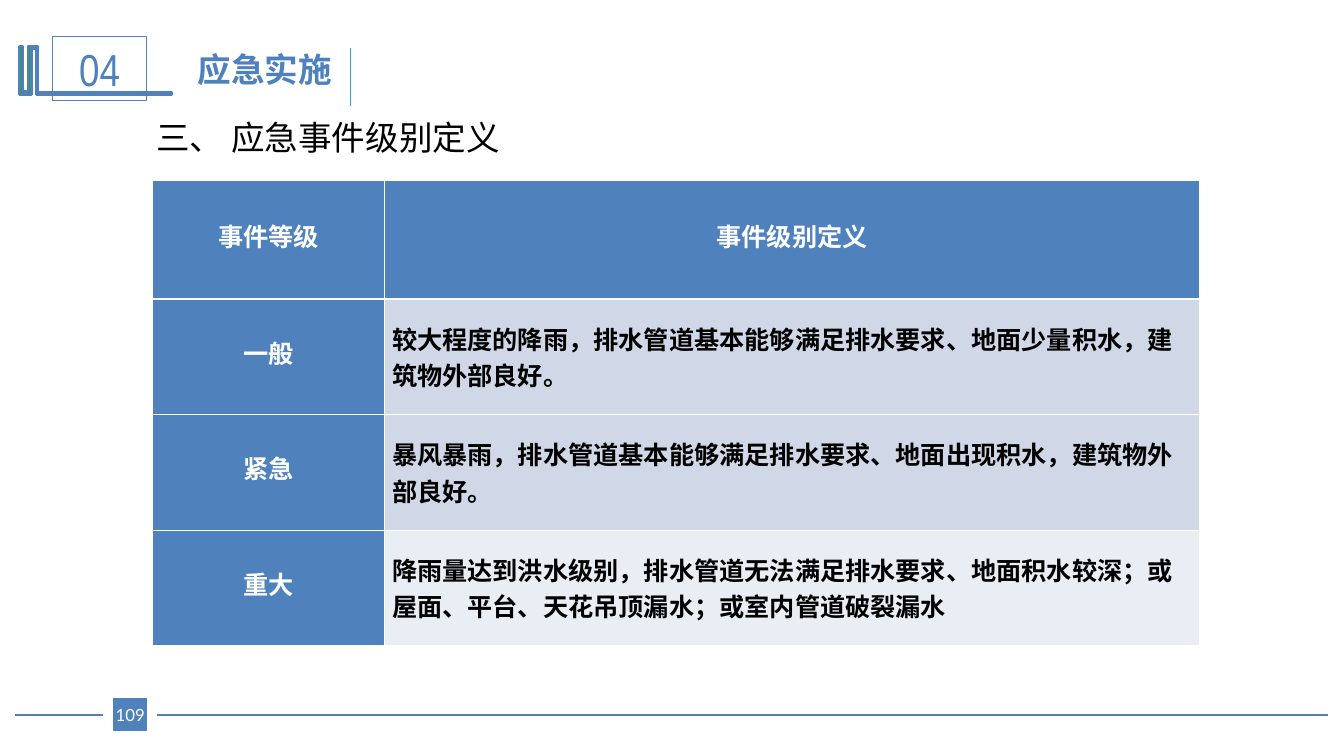
import dataclasses
import typing

import lxml.etree
import pptx
import pptx.dml.color
import pptx.enum.shapes
import pptx.enum.text
import pptx.oxml.ns
import pptx.util

Pt = pptx.util.Pt
RGBColor = pptx.dml.color.RGBColor
MSO_ANCHOR = pptx.enum.text.MSO_ANCHOR
PP_ALIGN = pptx.enum.text.PP_ALIGN
qn = pptx.oxml.ns.qn

BLUE = RGBColor(0x4F, 0x81, 0xBD)
CYAN = RGBColor(0x28, 0xA9, 0xD6)
GREEN = RGBColor(0x33, 0x99, 0x33)
WHITE = RGBColor(0xFF, 0xFF, 0xFF)
BLACK = RGBColor(0, 0, 0)
BAND_DARK = RGBColor(0xD0, 0xD8, 0xE8)
BAND_LIGHT = RGBColor(0xE9, 0xED, 0xF4)
CJK = "Noto Sans CJK SC"


@dataclasses.dataclass(frozen=True)
class Style:
    size: float
    color: RGBColor
    font: str = CJK
    bold: bool = False
    align: PP_ALIGN = PP_ALIGN.LEFT
    spacing: typing.Optional[float] = None


@dataclasses.dataclass(frozen=True)
class Rule:
    x1: float
    y1: float
    x2: float
    y2: float
    color: RGBColor
    width: float


@dataclasses.dataclass(frozen=True)
class Box:
    left: float
    top: float
    width: float
    height: float
    text: str
    style: Style
    fill: typing.Optional[RGBColor] = None
    inset: float = 0


@dataclasses.dataclass(frozen=True)
class Level:
    name: str
    definition: str
    height: float
    fill: RGBColor


LABEL = Style(18, WHITE, bold=True, align=PP_ALIGN.CENTER, spacing=20)
DEFINITION = Style(18, BLACK, bold=True)
TITLE = Style(24, BLUE, "Lato", bold=True)
SUBTITLE = Style(24, BLACK)

RULES = [
    Rule(949, 510.5, 112.5, 510.5, BLUE, 1.25),
    Rule(73.5, 510.5, 11, 510.5, BLUE, 1.25),
    Rule(250.5, 34, 250.5, 75.5, CYAN, 1),
]
BOXES = [
    Box(37.5, 26.3, 67.3, 45.8, "04",
        Style(32, BLUE, "Arial Narrow", align=PP_ALIGN.CENTER), inset=7.2),
    Box(81.4, 499.2, 23.3, 22.4, "109",
        Style(12, WHITE, "Lato", align=PP_ALIGN.CENTER), BLUE),
]
EMBLEM = [
    (26.8, 33.2), (27.2, 33.2), (27.2, 66.4), (123, 66.4), (123, 67.6),
    (26, 67.6), (26, 34.4), (22.3, 34.4), (22.3, 67.6), (13.7, 67.6),
    (13.7, 33.2), (16.5, 33.2), (16.5, 65.6), (20.1, 65.6), (20.1, 33.2),
]
LEVELS = [
    Level("事件等级", "事件级别定义", 85, BLUE),
    Level("一般", "较大程度的降雨，排水管道基本能够满足排水要求、地面少量积水，建筑物外部良好。",
          82.5, BAND_DARK),
    Level("紧急", "暴风暴雨，排水管道基本能够满足排水要求、地面出现积水，建筑物外部良好。",
          82.5, BAND_DARK),
    Level("重大", "降雨量达到洪水级别，排水管道无法满足排水要求、地面积水较深；"
          "或屋面、平台、天花吊顶漏水；或室内管道破裂漏水", 82.5, BAND_LIGHT),
]
COLUMNS = (165.8, 582.6)


def write(tf, text: str, style: Style) -> None:
    p = tf.paragraphs[0]
    p.text = text
    p.alignment = style.align
    if style.spacing:
        p.line_spacing = Pt(style.spacing)
    font = p.font
    font.size = Pt(style.size)
    font.bold = style.bold
    font.color.rgb = style.color
    font.name = style.font
    def_rpr = p._p.pPr.find(qn("a:defRPr"))
    lxml.etree.SubElement(def_rpr, qn("a:ea"), typeface=CJK)


def place(sp, left: float, top: float, width: float, height: float) -> None:
    sp.left, sp.top = Pt(left), Pt(top)
    sp.width, sp.height = Pt(width), Pt(height)


def add_rule(slide, rule: Rule) -> None:
    line = slide.shapes.add_connector(
        pptx.enum.shapes.MSO_CONNECTOR.STRAIGHT,
        Pt(rule.x1), Pt(rule.y1), Pt(rule.x2), Pt(rule.y2))
    line.line.color.rgb = rule.color
    line.line.width = Pt(rule.width)
    lxml.etree.SubElement(line._element.spPr, qn("a:effectLst"))


def add_emblem(slide) -> None:
    points = [(Pt(x), Pt(y)) for x, y in EMBLEM]
    builder = slide.shapes.build_freeform(*points[0])
    builder.add_line_segments(points[1:], close=True)
    sp = builder.convert_to_shape()
    sp.shadow.inherit = False
    sp.fill.solid()
    sp.fill.fore_color.rgb = GREEN
    sp.line.color.rgb = BLUE
    sp.line.width = Pt(2)


def add_box(slide, box: Box) -> None:
    sp = slide.shapes.add_shape(
        pptx.enum.shapes.MSO_SHAPE.RECTANGLE,
        Pt(box.left), Pt(box.top), Pt(box.width), Pt(box.height))
    sp.shadow.inherit = False
    if box.fill is None:
        sp.fill.background()
    else:
        sp.fill.solid()
        sp.fill.fore_color.rgb = box.fill
    sp.line.color.rgb = BLUE
    sp.line.width = Pt(0.75)
    tf = sp.text_frame
    tf.margin_left = tf.margin_right = Pt(box.inset)
    tf.margin_top = tf.margin_bottom = Pt(box.inset / 2)
    tf.vertical_anchor = MSO_ANCHOR.MIDDLE
    write(tf, box.text, box.style)


def add_heading(sp, text: str, style: Style) -> None:
    tf = sp.text_frame
    tf.word_wrap = True
    tf.auto_size = pptx.enum.text.MSO_AUTO_SIZE.NONE
    tf.vertical_anchor = MSO_ANCHOR.TOP
    write(tf, text, style)


def set_borders(cell, widths: typing.Dict[str, float]) -> None:
    tc_pr = cell._tc.get_or_add_tcPr()
    for i, (side, width) in enumerate(widths.items()):
        ln = lxml.etree.Element(qn(f"a:ln{side}"), w=str(Pt(width)))
        fill = lxml.etree.SubElement(ln, qn("a:solidFill"))
        lxml.etree.SubElement(fill, qn("a:srgbClr"), val=str(WHITE))
        tc_pr.insert(i, ln)


def add_levels(slide) -> None:
    table = slide.shapes.add_table(
        len(LEVELS), len(COLUMNS), Pt(109), Pt(128.5), Pt(sum(COLUMNS)),
        Pt(sum(level.height for level in LEVELS))).table
    table.horz_banding = False
    for column, width in zip(table.columns, COLUMNS):
        column.width = Pt(width)
    for i, level in enumerate(LEVELS):
        table.rows[i].height = Pt(level.height)
        entries = [(level.name, LABEL, BLUE),
                   (level.definition, DEFINITION if i else LABEL, level.fill)]
        for j, (text, style, fill) in enumerate(entries):
            cell = table.cell(i, j)
            cell.fill.solid()
            cell.fill.fore_color.rgb = fill
            cell.vertical_anchor = MSO_ANCHOR.MIDDLE
            cell.margin_left = cell.margin_right = Pt(5.4)
            write(cell.text_frame, text, style)
            set_borders(cell, {"L": 0.45, "R": 0.45,
                               "T": 1.47 if i == 1 else 0.45,
                               "B": 1.47 if i == 0 else 0.45})


def main() -> None:
    prs = pptx.Presentation()
    prs.slide_width, prs.slide_height = Pt(960.5), Pt(540)
    slide = prs.slides.add_slide(prs.slide_layouts[5])
    for rule in RULES:
        add_rule(slide, rule)
    add_emblem(slide)
    for box in BOXES:
        add_box(slide, box)
    title = slide.shapes.title
    place(title, 134, 31.5, 697.7, 36)
    add_heading(title, "应急实施", TITLE)
    add_levels(slide)
    subtitle = slide.shapes.add_textbox(Pt(104.7), Pt(79.8), Pt(697.7), Pt(36))
    add_heading(subtitle, "三、 应急事件级别定义", SUBTITLE)
    prs.save("out.pptx")


if __name__ == "__main__":
    main()
